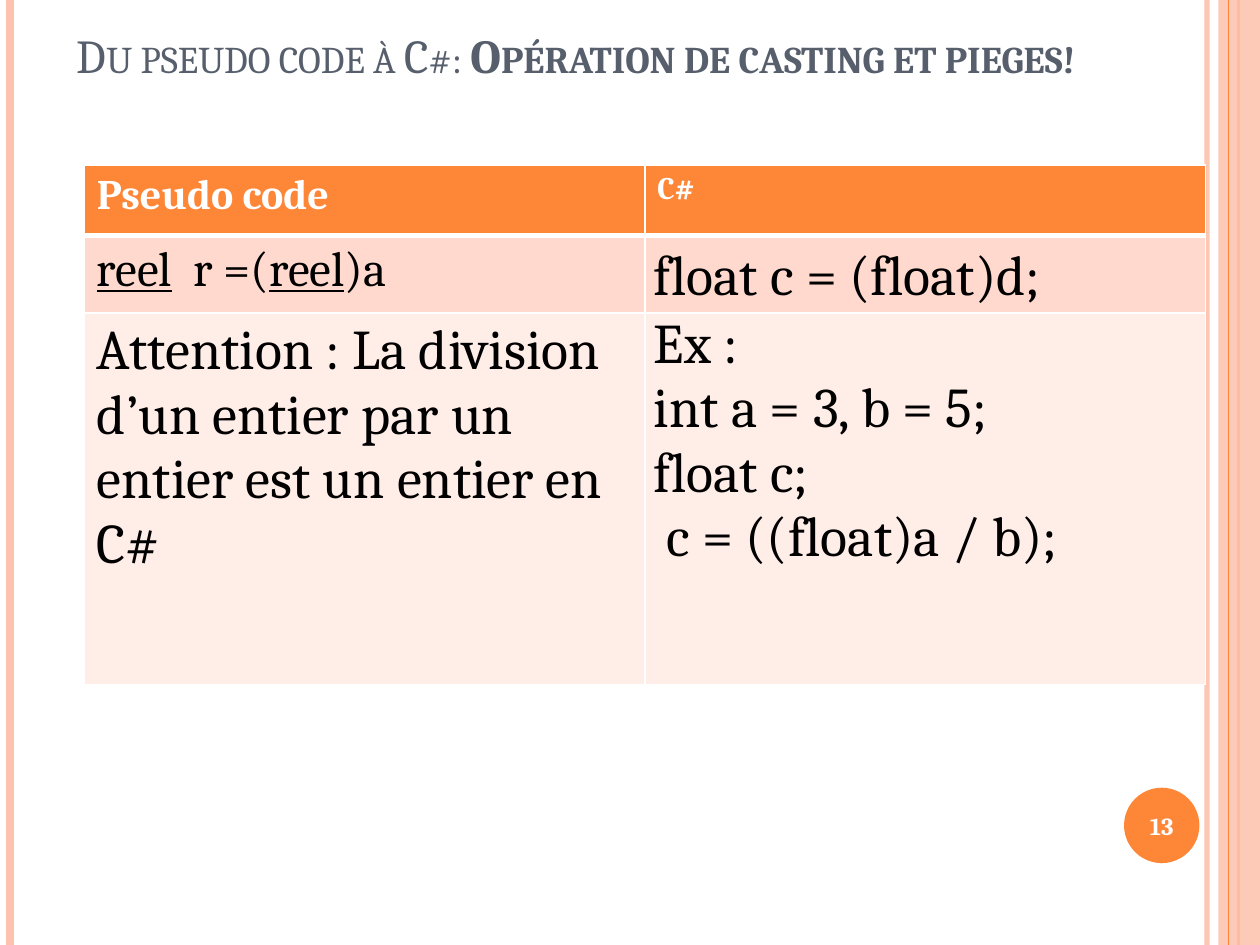
from dataclasses import dataclass

from lxml.etree import SubElement
from pptx import Presentation
from pptx.dml.color import RGBColor
from pptx.enum.shapes import MSO_CONNECTOR, MSO_SHAPE
from pptx.enum.text import MSO_ANCHOR, PP_ALIGN
from pptx.oxml import parse_xml
from pptx.oxml.ns import nsdecls, qn
from pptx.util import Cm, Pt


@dataclass(frozen=True)
class Theme:
    font: str = "Cambria"
    accent: str = "FE8637"
    stripe: str = "FEC3AE"
    title: str = "575F6D"
    text: str = "000000"
    light: str = "FFFFFF"
    band_dark: str = "FFD9CE"
    band_light: str = "FFEDE8"
    title_pt: int = 27
    head_pt: int = 24
    subhead_pt: int = 18
    code_pt: int = 28
    body_pt: int = 32
    number_pt: int = 14


THEME = Theme()


def rgb(value):
    return RGBColor.from_string(value)


def add_run(p, text, size, color, bold=False, underline=False):
    r = p.add_run()
    r.text = text
    r.font.name = THEME.font
    r.font.size = Pt(size)
    r.font.color.rgb = rgb(color)
    r.font.bold = bold
    r.font.underline = underline
    return r


def set_alpha(sp, percent):
    for color in sp._element.iter(qn("a:srgbClr")):
        SubElement(color, qn("a:alpha")).set("val", str(percent * 1000))


def add_text_box(s, x, y, w, h, anchor):
    tf = s.shapes.add_textbox(Cm(x), Cm(y), Cm(w), Cm(h)).text_frame
    tf.word_wrap = True
    tf.vertical_anchor = anchor
    return tf


def add_filled(s, kind, x, y, w, h, color):
    sp = s.shapes.add_shape(kind, Cm(x), Cm(y), Cm(w), Cm(h))
    sp.shadow.inherit = False
    sp.fill.solid()
    sp.fill.fore_color.rgb = rgb(color)
    sp.line.fill.background()
    return sp


def add_rule(s, x, y, h, color, width):
    sp = s.shapes.add_connector(MSO_CONNECTOR.STRAIGHT, Cm(x), Cm(y), Cm(x), Cm(y + h))
    sp.line.color.rgb = rgb(color)
    sp.line.width = Pt(width)
    SubElement(sp._element.spPr, qn("a:effectLst"))
    return sp


def add_side_stripes(s, x, y, w, h):
    set_alpha(add_rule(s, x + w - 1.07, y, h, THEME.stripe, 3), 93)
    add_rule(s, x + 0.2, y, h, THEME.stripe, 4.5)
    add_rule(s, x + w - 0.43, y, h, THEME.accent, 1.5)
    set_alpha(add_filled(s, MSO_SHAPE.RECTANGLE, x + w - 0.84, y, 0.84, h, THEME.stripe), 87)
    add_rule(s, x + w - 0.64, y, h, THEME.accent, 0.75)


def add_title(s, x, y, w, h):
    p = add_text_box(s, x, y, w, h, MSO_ANCHOR.BOTTOM).paragraphs[0]
    for text, bold in (("Du pseudo code à C#: ", False), ("Opération de casting et pieges!", True)):
        r = add_run(p, text, THEME.title_pt, THEME.title, bold)
        r._r.get_or_add_rPr().set("cap", "small")


def set_borders(cell, bottom):
    tc_pr = cell._tc.get_or_add_tcPr()
    for i, (side, width) in enumerate((("L", 1), ("R", 1), ("T", 1), ("B", bottom))):
        tc_pr.insert(i, parse_xml(
            f'<a:ln{side} {nsdecls("a")} w="{Pt(width)}"><a:solidFill>'
            f'<a:srgbClr val="{THEME.light}"/></a:solidFill></a:ln{side}>'))


def add_code_table(s, x, y, w, row_heights):
    table = s.shapes.add_table(3, 2, Cm(x), Cm(y), Cm(w), Cm(sum(row_heights))).table
    for col in table.columns:
        col.width = Cm(w / 2)
    fills = (THEME.accent, THEME.band_dark, THEME.band_light)
    for i, (row, height, fill) in enumerate(zip(table.rows, row_heights, fills)):
        row.height = Cm(height)
        for j, cell in enumerate(row.cells):
            cell.fill.solid()
            cell.fill.fore_color.rgb = rgb(fill)
            set_borders(cell, 3 if i == 0 else 1)
            if i and j:
                cell.margin_left = cell.margin_right = Cm(0.18)
                cell.margin_top = cell.margin_bottom = 0

    def first(i, j):
        return table.cell(i, j).text_frame.paragraphs[0]

    add_run(first(0, 0), "Pseudo code", THEME.head_pt, THEME.light, bold=True)
    add_run(first(0, 1), "C#", THEME.subhead_pt, THEME.light, bold=True)
    for text, underline in (("reel", True), ("  r =(", False), ("reel", True), (")a", False)):
        add_run(first(1, 0), text, THEME.code_pt, THEME.text, underline=underline)
    first(1, 1).line_spacing = 1.15
    add_run(first(1, 1), "float c = (float)d;", THEME.body_pt, THEME.text)
    add_run(first(2, 0), "Attention : La division d’un entier par un entier est un entier en C#",
            THEME.body_pt, THEME.text)
    tf = table.cell(2, 1).text_frame
    for k, text in enumerate(("Ex :", "int a = 3, b = 5;", "float c;", " c = ((float)a / b);")):
        p = tf.add_paragraph() if k else tf.paragraphs[0]
        add_run(p, text, THEME.body_pt, THEME.text)


def add_page_badge(s, x, y, size, number):
    add_filled(s, MSO_SHAPE.OVAL, x, y, size, size, THEME.accent)
    p = add_text_box(s, x - 0.08, y + 0.04, size + 0.16, size - 0.08, MSO_ANCHOR.MIDDLE).paragraphs[0]
    p.alignment = PP_ALIGN.CENTER
    add_run(p, number, THEME.number_pt, THEME.light, bold=True)


def main():
    prs = Presentation()
    prs.slide_width, prs.slide_height = Cm(25.4), Cm(19.05)
    s = prs.slides.add_slide(prs.slide_layouts[6])
    add_side_stripes(s, 0, 0, 25.4, 19.05)
    add_title(s, 1.3, 0, 20.75, 1.8)
    add_code_table(s, 1.7, 3.33, 22.6, (1.42, 1.37, 7.49))
    add_page_badge(s, 22.66, 15.88, 1.52, "13")
    prs.save("out.pptx")


if __name__ == "__main__":
    main()
